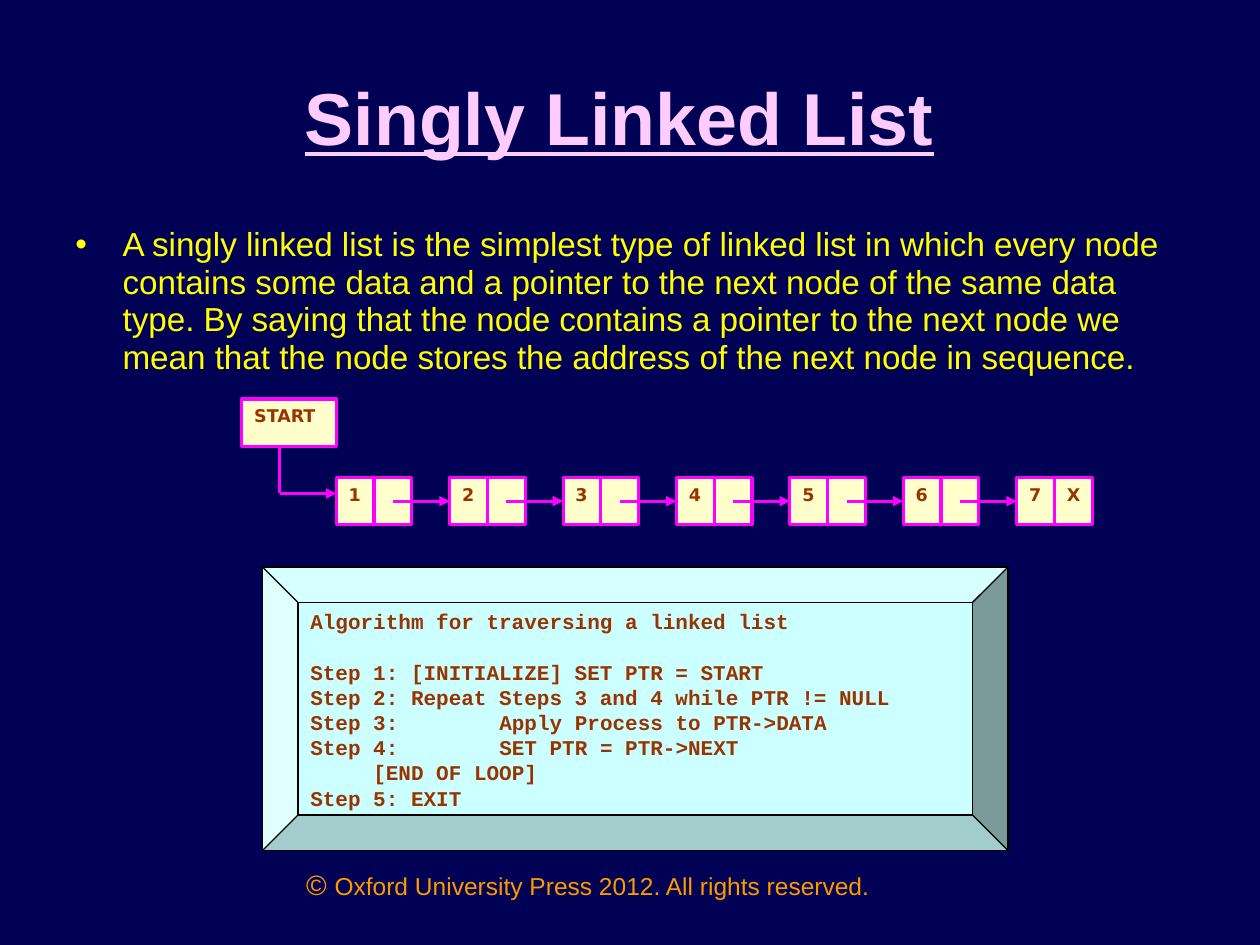
from lxml import etree
from pptx import Presentation
from pptx import util as u
from pptx.dml.color import RGBColor
from pptx.enum import shapes, text
from pptx.oxml.ns import qn

Pt = u.Pt
MAGENTA, CREAM, BROWN, YELLOW = "FF00FF", "FFFFCC", "993300", "FFFF00"
color = RGBColor.from_string


def add_panel(kind, left, top, width, height, fill, border, weight, words, face, size):
    panel = slide.shapes.add_shape(kind, Pt(left), Pt(top), Pt(width), Pt(height))
    panel.shadow.inherit = False
    panel.fill.solid()
    panel.fill.fore_color.rgb = color(fill)
    panel.line.color.rgb = color(border)
    panel.line.width = Pt(weight)
    frame = panel.text_frame
    frame.vertical_anchor = text.MSO_ANCHOR.TOP
    frame.text = words
    for paragraph in frame.paragraphs:
        paragraph.alignment = text.PP_ALIGN.LEFT
        font = paragraph.font
        for run in paragraph.runs:
            font = run.font
            font.name, font.size, font.bold = face, Pt(size), True
            font.color.rgb = color(BROWN)
    return panel


def add_link(x1, y1, x2, y2, arrow=True):
    link = slide.shapes.add_connector(
        shapes.MSO_CONNECTOR.STRAIGHT, Pt(x1), Pt(y1), Pt(x2), Pt(y2))
    link.line.color.rgb = color(MAGENTA)
    link.line.width = Pt(1.75)
    if arrow:
        etree.SubElement(link.line._get_or_add_ln(), qn("a:tailEnd"), type="triangle")
    etree.SubElement(link._element.spPr, qn("a:effectLst"))


prs = Presentation()
prs.slide_width, prs.slide_height = Pt(720), Pt(540)
slide = prs.slides.add_slide(prs.slide_layouts[5])
slide.background.fill.solid()
slide.background.fill.fore_color.rgb = color("000055")

notice = slide.shapes.add_textbox(Pt(144), Pt(492), Pt(384), Pt(37.5)).text_frame
notice.word_wrap = True
notice_line = notice.paragraphs[0]
notice_line.alignment = text.PP_ALIGN.CENTER
for words, size in [("© ", 16), ("Oxford University Press 2012. All rights reserved.", 14)]:
    run = notice_line.add_run()
    run.text = words
    run.font.name, run.font.size = "Arial", Pt(size)
    run.font.color.rgb = color("FF9900")

title = slide.shapes.title
title.left, title.top, title.width, title.height = Pt(36), Pt(21.6), Pt(648), Pt(90)
title.text_frame.text = "Singly Linked List"
title.text_frame.vertical_anchor = text.MSO_ANCHOR.MIDDLE
title.text_frame.margin_right = Pt(19.4)
heading = title.text_frame.paragraphs[0]
heading.alignment = text.PP_ALIGN.CENTER
heading_font = heading.runs[0].font
heading_font.name, heading_font.size = "Arial", Pt(42)
heading_font.bold = heading_font.underline = True
heading_font.color.rgb = color("FFCCFF")

definition = slide.shapes.add_textbox(Pt(36), Pt(126), Pt(648), Pt(121)).text_frame
definition.word_wrap = True
definition.text = (
    "A singly linked list is the simplest type of linked list in which every node "
    "contains some data and a pointer to the next node of the same data type. "
    "By saying that the node contains a pointer to the next node we mean that "
    "the node stores the address of the next node in sequence.")
bullet_point = definition.paragraphs[0]
bullet_point.line_spacing = 0.94
properties = bullet_point._p.get_or_add_pPr()
properties.set("marL", str(Pt(27)))
properties.set("indent", str(-Pt(27)))
bullet_color = etree.SubElement(properties, qn("a:buClr"))
etree.SubElement(bullet_color, qn("a:srgbClr"), val=YELLOW)
etree.SubElement(properties, qn("a:buFont"), typeface="Arial")
etree.SubElement(properties, qn("a:buChar"), char="•")
definition_font = bullet_point.runs[0].font
definition_font.name, definition_font.size = "Arial", Pt(19)
definition_font.color.rgb = color(YELLOW)

list_left, list_top, cell_width, cell_height = 192.2, 272.9, 21.6, 27
node_pitch = 3 * cell_width
node_style = (CREAM, MAGENTA, 1.75)
node_count = 7
for index in range(node_count):
    left = list_left + index * node_pitch
    last = index == node_count - 1
    for offset, words in [(0, str(index + 1)), (cell_width, "X" if last else "")]:
        add_panel(shapes.MSO_SHAPE.RECTANGLE, left + offset, list_top, cell_width,
                  cell_height, *node_style, words, "DejaVu Sans", 10)
    if not last:
        middle = list_top + cell_height / 2
        add_link(left + 1.5 * cell_width, middle, left + node_pitch, middle)

add_panel(shapes.MSO_SHAPE.RECTANGLE, 138.2, 228, 54, cell_height,
          *node_style, "START", "DejaVu Sans", 10)
add_link(159.8, 255, 159.8, 282, arrow=False)
add_link(159.8, 282, list_left, 282)

steps = [
    "Algorithm for traversing a linked list",
    "Step 1: [INITIALIZE] SET PTR = START",
    "Step 2: Repeat Steps 3 and 4 while PTR != NULL",
    "Step 3: \t\tApply Process to PTR->DATA",
    "Step 4: \t\tSET PTR = PTR->NEXT",
    "\t[END OF LOOP]",
    "Step 5: EXIT",
]
algorithm = add_panel(shapes.MSO_SHAPE.BEVEL, 150, 324, 426, 162, "CCFFFF", "000000",
                      0.75, "\n".join(steps), "Courier New", 12)
for paragraph in algorithm.text_frame.paragraphs:
    paragraph.line_spacing = Pt(14.4)
algorithm.text_frame.paragraphs[1].space_before = Pt(14.4)

prs.save("out.pptx")
